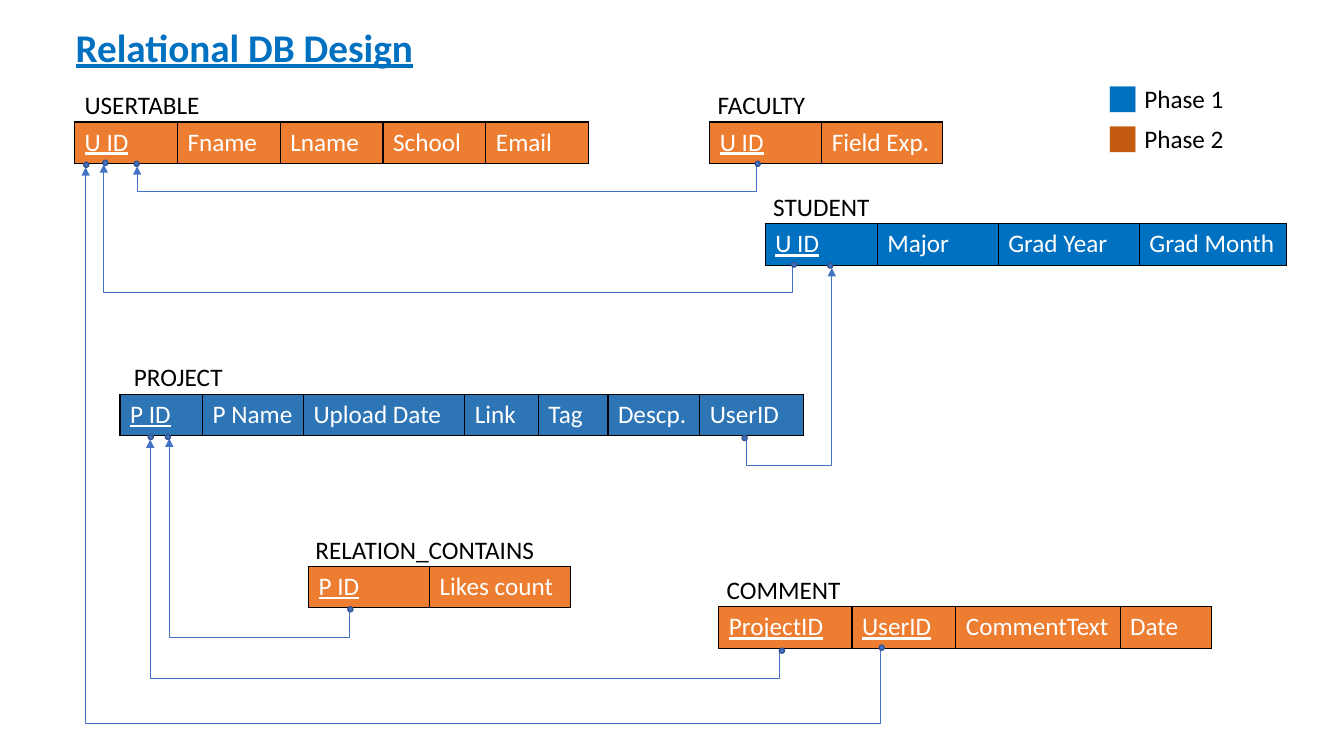
from dataclasses import dataclass

from lxml import etree
from pptx import Presentation
from pptx.dml.color import RGBColor
from pptx.enum.shapes import MSO_CONNECTOR, MSO_SHAPE
from pptx.enum.text import MSO_ANCHOR, MSO_AUTO_SIZE, PP_ALIGN
from pptx.oxml.ns import qn
from pptx.util import Inches, Pt

ELBOW, OVAL = MSO_CONNECTOR.ELBOW, MSO_SHAPE.OVAL
TOP, LEFT = MSO_ANCHOR.TOP, PP_ALIGN.LEFT
NO_FIT, GROW = MSO_AUTO_SIZE.NONE, MSO_AUTO_SIZE.SHAPE_TO_FIT_TEXT
CELL = Inches(0.1)
QUARTER_TURN = "5400000"


@dataclass(frozen=True)
class Theme:
    """Colours, font and point sizes of the schema diagram."""
    font: str = "Calibri"
    heading: str = "0070C0"
    phase1: str = "0070C0"
    phase2: str = "C55A11"
    blue: str = "0070C0"
    steel: str = "2E75B6"
    orange: str = "ED7D31"
    ink: str = "000000"
    paper: str = "FFFFFF"
    link: str = "4472C4"
    dot_edge: str = "325491"
    title_size: int = 28
    marker_size: int = 24
    body_size: int = 18
    rule: float = 1
    link_rule: float = 0.5


def grid(cells):
    """Turn grid cells into a slide length."""
    return round(cells * CELL)


def rgb(value):
    """Turn a hex value into a colour."""
    return RGBColor.from_string(value)


class SchemaSlide:
    """Draws relational tables and their key links on one slide."""

    def __init__(self, prs, theme):
        """Add a title-only slide."""
        self.t = theme
        self.s = prs.slides.add_slide(prs.slide_layouts[5])

    def style(self, font, size, color):
        """Set the theme font with a size and colour."""
        font.name, font.size, font.color.rgb = self.t.font, Pt(size), rgb(color)

    def title(self, text, *box):
        """Place and format the slide title."""
        sp = self.s.shapes.title
        sp.left, sp.top, sp.width, sp.height = map(grid, box)
        tf = sp.text_frame
        tf.text, tf.auto_size, tf.vertical_anchor = text, NO_FIT, TOP
        p = tf.paragraphs[0]
        p.alignment = LEFT
        self.style(p.font, self.t.title_size, self.t.heading)
        p.font.bold = p.font.underline = True

    def text_box(self, *box):
        """Add a wrapping text box and return its frame."""
        tf = self.s.shapes.add_textbox(*map(grid, box)).text_frame
        tf.word_wrap, tf.auto_size = True, GROW
        return tf

    def label(self, text, x, y, w):
        """Add a table name."""
        p = self.text_box(x, y, w, 4).paragraphs[0]
        p.text = text
        self.style(p.font, self.t.body_size, self.t.ink)

    def border(self, cell):
        """Draw all four sides of a table cell."""
        tc_pr = cell._tc.get_or_add_tcPr()
        for i, side in enumerate(("a:lnL", "a:lnR", "a:lnT", "a:lnB")):
            ln = etree.Element(qn(side), w=str(Pt(self.t.rule)))
            fill = etree.SubElement(ln, qn("a:solidFill"))
            etree.SubElement(fill, qn("a:srgbClr"), val=self.t.ink)
            tc_pr.insert(i, ln)

    def relation(self, name, x, y, shift, label_w, color, keys, fields):
        """Add a named one-row table whose first fields are underlined keys."""
        self.label(name, x + shift, y - 3.7, label_w)
        frame = self.s.shapes.add_table(
            1, len(fields), grid(x), grid(y), grid(sum(w for _, w in fields)), grid(4.1))
        table = frame.table
        table.first_row = table.horz_banding = False
        for i, (field, w) in enumerate(fields):
            table.columns[i].width = grid(w)
            cell = table.cell(0, i)
            cell.text = field
            cell.fill.solid()
            cell.fill.fore_color.rgb = rgb(color)
            font = cell.text_frame.paragraphs[0].font
            self.style(font, self.t.body_size, self.t.paper)
            font.underline = i < keys
            self.border(cell)

    def link(self, start, end, drop):
        """Add an elbow arrow that first drops below its start."""
        (x1, y1), (x2, y2) = start, end
        mx, my, dx, dy = (x1 + x2) / 2, (y1 + y2) / 2, (x2 - x1) / 2, (y2 - y1) / 2
        c = self.s.shapes.add_connector(
            ELBOW, grid(mx - dy), grid(my + dx), grid(mx + dy), grid(my - dx))
        c.line.color.rgb, c.line.width = rgb(self.t.link), Pt(self.t.link_rule)
        sp_pr = c._element.spPr
        sp_pr.find(qn("a:xfrm")).set("rot", QUARTER_TURN)
        guides = sp_pr.find(qn("a:prstGeom")).find(qn("a:avLst"))
        bend = round(drop / (y2 - y1) * 100000)
        etree.SubElement(guides, qn("a:gd"), name="adj1", fmla=f"val {bend}")
        etree.SubElement(sp_pr.find(qn("a:ln")), qn("a:tailEnd"), type="triangle")
        etree.SubElement(sp_pr, qn("a:effectLst"))

    def dot(self, x, y):
        """Mark where a link meets a field."""
        sp = self.s.shapes.add_shape(OVAL, grid(x), grid(y), grid(0.5), grid(0.5))
        sp.shadow.inherit = False
        sp.fill.solid()
        sp.fill.fore_color.rgb = rgb(self.t.link)
        sp.line.color.rgb, sp.line.width = rgb(self.t.dot_edge), Pt(self.t.rule)

    def legend(self, entries, *box):
        """Add a colour key with one line per entry."""
        tf = self.text_box(*box)
        for i, (text, color) in enumerate(entries):
            p = tf.add_paragraph() if i else tf.paragraphs[0]
            for part, size, tint in (("■", self.t.marker_size, color),
                                     (f" {text}", self.t.body_size, self.t.ink)):
                r = p.add_run()
                r.text = part
                self.style(r.font, size, tint)


def main():
    """Build the relational design slide."""
    prs = Presentation()
    prs.slide_width, prs.slide_height = Inches(13.33), Inches(7.5)
    t = Theme()
    slide = SchemaSlide(prs, t)
    slide.title("Relational DB Design", 6.5, 1.8, 38.8, 5.7)

    user_fields = [(f, 10.2) for f in ("U ID", "Fname", "Lname", "School", "Email")]
    relations = [
        ("USERTABLE", 7.4, 12.1, 0, 16.7, t.orange, 1, user_fields),
        ("FACULTY", 70.4, 12.1, -0.2, 11.8, t.orange, 1,
         [("U ID", 11.1), ("Field Exp.", 12)]),
        ("STUDENT", 75.9, 22.2, -0.2, 11.8, t.blue, 1,
         [("U ID", 11.1), ("Major", 12), ("Grad Year", 14), ("Grad Month", 14.6)]),
        ("PROJECT", 11.9, 39.1, 0.4, 11.8, t.steel, 1,
         [("P ID", 8.2), ("P Name", 10), ("Upload Date", 16), ("Link", 7.3),
          ("Tag", 6.9), ("Descp.", 9.1), ("UserID", 10.3)]),
        ("RELATION_CONTAINS", 30.6, 56.2, -0.3, 26.2, t.orange, 1,
         [("P ID", 12), ("Likes count", 14)]),
        ("COMMENT", 71.3, 60.2, -0.2, 17.4, t.orange, 2,
         [("ProjectID", 13.2), ("UserID", 10.3), ("CommentText", 16.3), ("Date", 9.1)]),
    ]
    for relation in relations:
        slide.relation(*relation)

    links = [
        ((75, 16.4), (13.6, 16.5), 2.6, (74.9, 16), (13.3, 16)),
        ((78.6, 26.4), (10.3, 16.3), 2.6, (78.5, 26), (10.2, 15.9)),
        ((74, 43.6), (82.5, 26.6), 2.6, (73.6, 43.2), (82.1, 26.1)),
        ((77.3, 64.7), (14.9, 43.6), 2.6, (77.3, 64.3), (14.7, 43.1)),
        ((34.7, 60.7), (16.8, 43.5), 2.5, (34.5, 60.2), (16.4, 43.1)),
        ((87.3, 64.4), (8.5, 16.6), 7.3, (87.2, 64), (8.3, 16.1)),
    ]
    for start, end, drop, *dots in links:
        slide.link(start, end, drop)
        for x, y in dots:
            slide.dot(x, y)

    slide.legend([("Phase 1", t.phase1), ("Phase 2", t.phase2)], 108.8, 6.9, 13.6, 9.1)
    prs.save("out.pptx")


if __name__ == "__main__":
    main()
